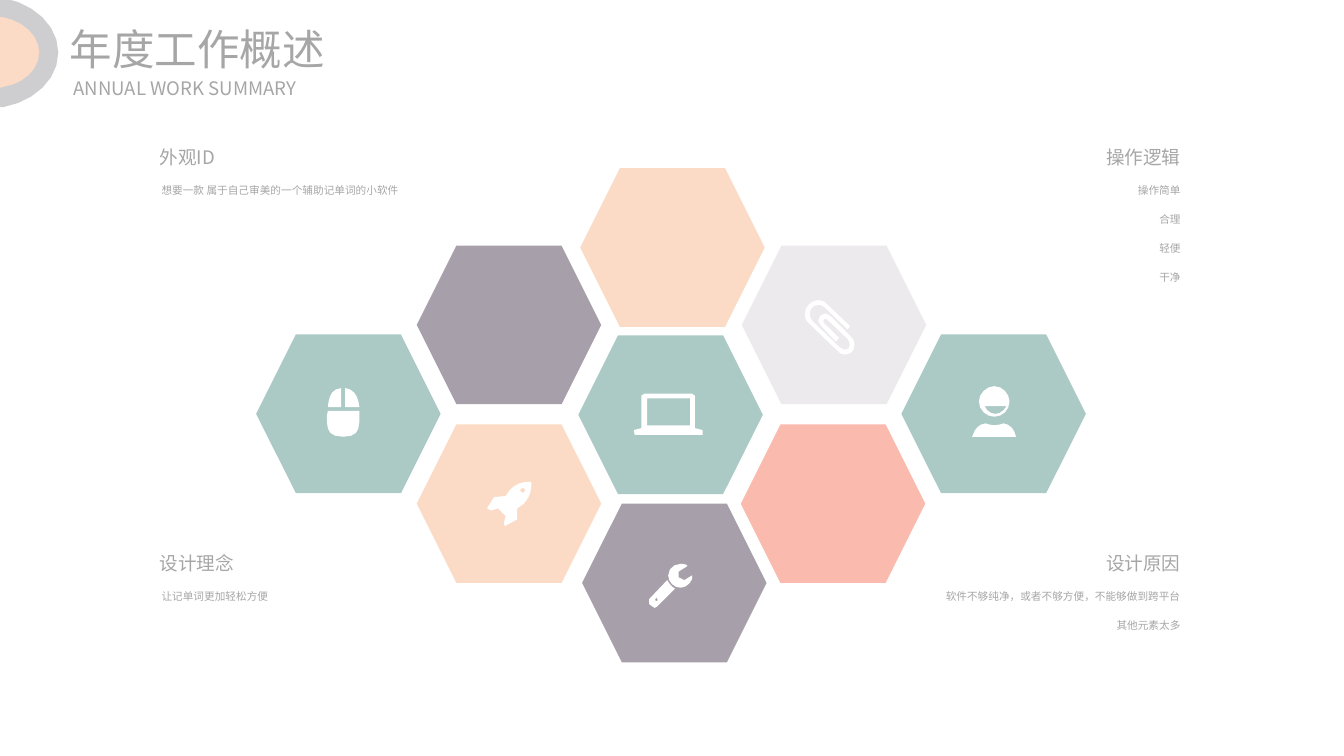
"""Build the annual work summary slide with its honeycomb of icons."""
from dataclasses import dataclass
from math import ceil, dist
from typing import Any, Iterator

from lxml.etree import SubElement
from pptx import Presentation
from pptx.dml.color import RGBColor
from pptx.enum.shapes import MSO_SHAPE as Shape
from pptx.enum.text import MSO_ANCHOR as Anchor, MSO_AUTO_SIZE as Fit, PP_ALIGN as Align
from pptx.oxml.ns import qn
from pptx.util import Inches, Pt

FONT = "Noto Sans CJK SC"
GREY = RGBColor(0xA6, 0xA6, 0xA6)
WHITE = RGBColor(0xFF, 0xFF, 0xFF)
MIST = RGBColor(0xEC, 0xEA, 0xED)
PEACH = RGBColor(0xFB, 0xDB, 0xC6)
CORAL = RGBColor(0xFA, 0xBA, 0xAE)
MAUVE = RGBColor(0xA7, 0x9F, 0xAA)
SAGE = RGBColor(0xAB, 0xCA, 0xC5)
SILVER = RGBColor(0xCE, 0xCE, 0xD0)

HEX_W, HEX_H = 1.93, 1.66
CHORD, MOST = 6, 6
FRAME = {"word_wrap": True, "auto_size": Fit.SHAPE_TO_FIT_TEXT, "margin_left": 0,
         "margin_top": 0, "margin_right": 0, "margin_bottom": 0}
HEAD = {"space_before": Pt(7.5)}
BODY = {"space_before": Pt(7.5), "line_spacing": 1.5}

Point = tuple[float, float]


@dataclass
class Cell:
    left: float
    top: float
    fill: RGBColor


@dataclass
class Icon:
    art: str
    fill: RGBColor = WHITE


@dataclass
class Note:
    title: str
    lines: list[str]
    top: float
    tall: float
    right: bool


CELLS = [
    Cell(7.76, 2.57, MIST), Cell(6.07, 1.76, PEACH), Cell(7.75, 4.44, CORAL),
    Cell(4.36, 2.57, MAUVE), Cell(4.36, 4.44, PEACH), Cell(6.09, 5.27, MAUVE),
    Cell(6.05, 3.51, SAGE), Cell(2.68, 3.5, SAGE), Cell(9.43, 3.5, SAGE),
]

LAPTOP = Icon("""M 727 448 L 727 414 C 727 413 726 412 724 412 L 674 412
    C 672 412 671 413 671 414 L 671 448 663 450 664 455 735 455 735 450
    M 722 445 L 677 445 677 417 722 417""")
MOUSE = Icon("""M 376 430 L 343 430 C 343 432 342 433 342 435 342 448 342 457 359 457
    376 457 376 448 376 435 376 433 376 432 376 430
    M 361 406 L 361 426 376 426 C 375 416 371 407 361 406
    M 357 406 C 346 407 344 416 343 426 L 357 426""")
FACE = Icon("""M 1040 404 C 1032 404 1024 412 1024 420 1024 429 1032 436 1040 436
    1049 436 1056 429 1056 420 1056 412 1049 404 1040 404
    M 1041 433 C 1037 433 1032 430 1030 425 L 1053 425 C 1050 430 1046 433 1041 433""")
BUST = Icon("""M 1050 443 C 1047 444 1044 445 1040 445 1037 445 1034 444 1031 443
    1024 444 1020 448 1017 457 L 1063 457 C 1061 448 1056 444 1050 443""")
CLIP = Icon("""M 884 371 C 881 371 878 370 876 367 L 847 339
    C 843 336 842 333 842 328 842 321 849 314 856 314 860 314 864 316 866 319
    L 889 341 889 342 886 345 886 344 863 322
    C 861 320 859 319 856 319 851 319 847 323 847 328
    847 331 848 334 850 336 L 879 364 C 880 366 882 366 884 366
    887 366 889 364 889 361 889 359 888 357 887 355 L 865 334
    863 333 861 336 862 338 877 353 878 353 875 357 874 357 859 341
    C 857 340 856 338 856 336 856 332 859 328 863 328 865 328 867 330 869 331
    L 890 352 C 893 354 894 358 894 361 894 367 890 371 884 371""")
ROCKET = Icon("""M 547 528 C 545 529 543 531 541 532 L 541 544 540 544 529 550 529 551
    527 548 529 540 521 532 514 534 513 534 510 532 510 531 517 520 518 520 529 519
    C 530 517 532 515 533 513 540 506 546 504 555 504 L 556 505
    C 556 514 554 521 547 528
    M 547 510 C 546 510 544 512 544 513 544 515 546 516 547 516
    549 516 550 515 550 513 550 512 549 510 547 510""")
WRENCH = Icon("""M 687 635 L 685 636 683 635 679 632 679 629 679 627 698 607
    C 700 611 703 614 706 616
    M 687 625 L 685 628 687 629 688 628
    M 724 606 C 722 611 717 615 712 615 705 615 699 609 699 602
    699 595 705 590 712 590 714 590 716 590 718 591 L 719 592 718 593
    710 598 710 604 716 607 724 602""")
RING = Icon("M 61 55 C 61 27 36 4 4 -2 L 0 -2 0 112 4 112 C 36 106 61 83 61 55", SILVER)
CORE = Icon("M 41 55 C 41 37 24 22 3 18 L 0 18 0 92 3 91 C 24 88 41 73 41 55", PEACH)
ICONS = [LAPTOP, MOUSE, FACE, BUST, RING, CORE, CLIP, ROCKET, WRENCH]

NOTES = [
    Note("外观ID", ["想要一款 属于自己审美的一个辅助记单词的小软件"], 1.53, 0.18, False),
    Note("操作逻辑", ["操作简单", "合理", "轻便", "干净"], 1.53, 1.12, True),
    Note("设计理念", ["让记单词更加轻松方便"], 5.78, 0.18, False),
    Note("设计原因", ["软件不够纯净，或者不够方便，不能够做到跨平台", "其他元素太多"],
         5.78, 0.81, True),
]


def apply(item: Any, style: dict[str, Any]) -> None:
    for name, value in style.items():
        setattr(item, name, value)


def paint(shape: Any, fill: RGBColor) -> None:
    shape.shadow.inherit = False
    shape.fill.solid()
    shape.fill.fore_color.rgb = fill
    shape.line.fill.background()


def bend(a: Point, b: Point, c: Point, d: Point) -> Iterator[Point]:
    steps = min(MOST, ceil(dist(a, d) / CHORD))
    for step in range(1, steps + 1):
        t = step / steps
        s = 1 - t
        yield tuple(s**3 * p + 3 * s * s * t * q + 3 * s * t * t * r + t**3 * e
                    for p, q, r, e in zip(a, b, c, d))


def trace(loop: str) -> list[Point]:
    x, y, *rest = loop.split()
    dots: list[Point] = [(float(x), float(y))]
    mode, nums = "L", []
    for word in rest:
        if word in ("L", "C"):
            mode = word
            continue
        nums.append(float(word))
        if len(nums) == (2 if mode == "L" else 6):
            ends = list(zip(nums[::2], nums[1::2]))
            dots += ends if mode == "L" else bend(dots[-1], *ends)
            nums = []
    return dots


def draw_icon(shapes: Any, icon: Icon) -> None:
    pen = None
    for loop in icon.art.split("M")[1:]:
        first, *rest = [(Inches(x / 100), Inches(y / 100)) for x, y in trace(loop)]
        if pen is None:
            pen = shapes.build_freeform(*first)
        else:
            pen.move_to(*first)
        pen.add_line_segments(rest, close=True)
    paint(pen.convert_to_shape(), icon.fill)


def draw_cell(shapes: Any, cell: Cell) -> None:
    box = map(Inches, (cell.left, cell.top, HEX_W, HEX_H))
    paint(shapes.add_shape(Shape.HEXAGON, *box), cell.fill)


def write(shapes: Any, lines: list[str], box: tuple[float, ...], size: int,
          style: dict[str, Any], anchor: Anchor = Anchor.TOP) -> None:
    frame = shapes.add_textbox(*map(Inches, box)).text_frame
    apply(frame, FRAME | {"vertical_anchor": anchor})
    for i, line in enumerate(lines):
        para = frame.add_paragraph() if i else frame.paragraphs[0]
        apply(para, style)
        run = para.add_run()
        run.text = line
        apply(run.font, {"name": FONT, "size": Pt(size)})
        run.font.color.rgb = GREY
        SubElement(run.font._element, qn("a:ea"), typeface=FONT)


def draw_note(shapes: Any, note: Note) -> None:
    side = {"alignment": Align.RIGHT if note.right else Align.JUSTIFY}
    head, body = (10.49, 9.43) if note.right else (1.67, 1.69)
    write(shapes, note.lines, (body, note.top + 0.33, 2.92, note.tall), 8, BODY | side)
    write(shapes, [note.title], (head, note.top, 1.86, 0.24), 14, HEAD | side)


def main() -> None:
    deck = Presentation()
    apply(deck, {"slide_width": Inches(14.06), "slide_height": Inches(7.91)})
    shapes = deck.slides.add_slide(deck.slide_layouts[6]).shapes
    for cell in CELLS:
        draw_cell(shapes, cell)
    for note in NOTES:
        draw_note(shapes, note)
    write(shapes, ["年度工作概述"], (0.73, 0.24, 4.32, 0.54), 32, {}, Anchor.MIDDLE)
    write(shapes, ["ANNUAL WORK SUMMARY"], (0.77, 0.8, 3.02, 0.24), 14, {}, Anchor.MIDDLE)
    for icon in ICONS:
        draw_icon(shapes, icon)
    deck.save("out.pptx")


if __name__ == "__main__":
    main()
